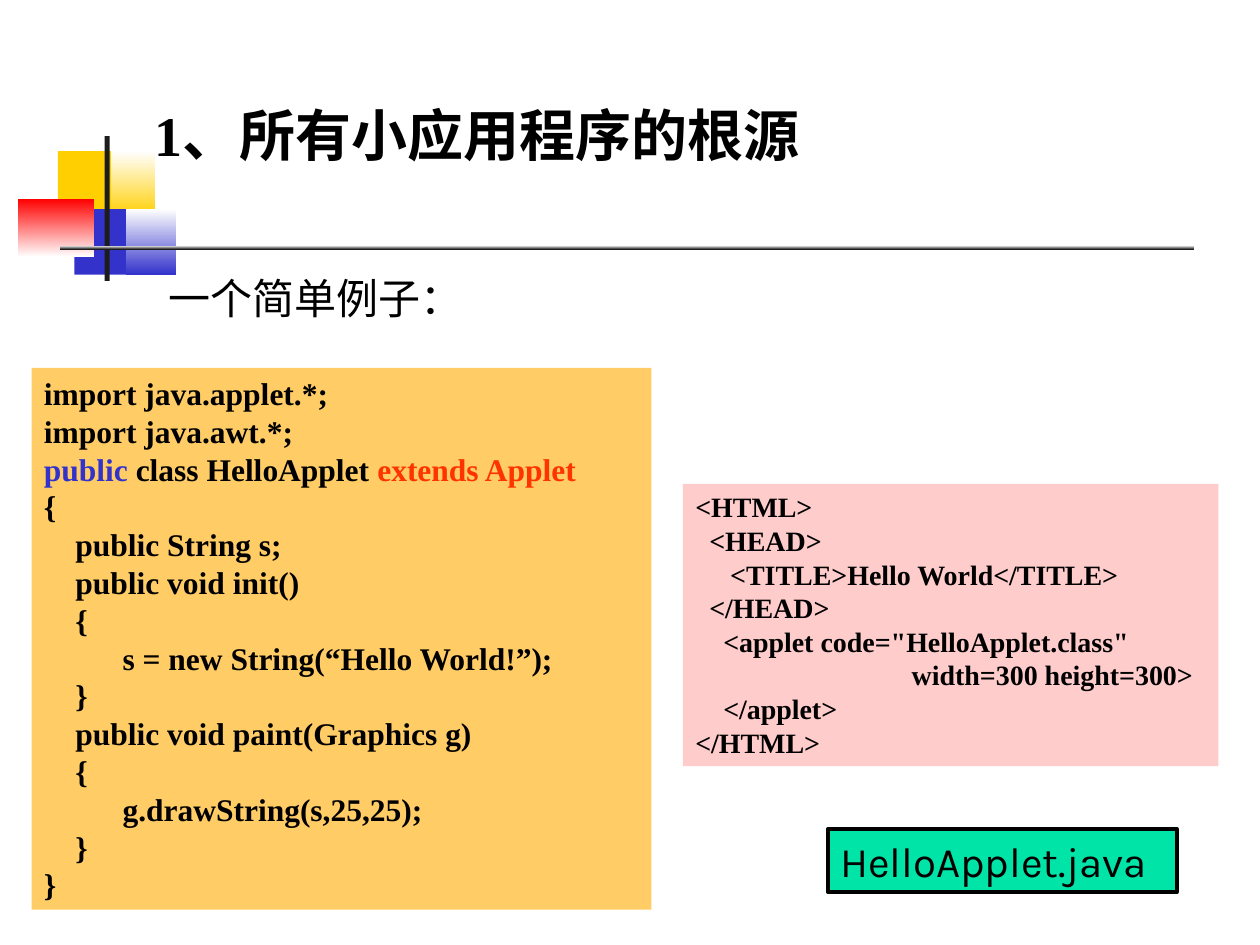
"""Build the slide on the root class of all applets, with its code examples."""
from dataclasses import dataclass

from pptx import Presentation
from pptx.dml.color import RGBColor
from pptx.enum.shapes import MSO_SHAPE as Preset
from pptx.enum.text import MSO_ANCHOR as Anchor, MSO_AUTO_SIZE as AutoSize, PP_ALIGN as Align
from pptx.util import Inches, Pt

COLUMNS, ROWS = 100, 75
WIDTH, HEIGHT = Inches(10), Inches(7.5)
TITLE_ONLY = 5
SERIF, SANS = "Times New Roman", "Karla"
COLORS = {
    "white": "FFFFFF", "black": "000000", "ink": "1C1C1C", "gold": "FFCF01",
    "blue": "3333CC", "red": "FF0000", "orange": "FF3300", "sand": "FFCC66",
    "pink": "FFCCCC", "mint": "00E4A8",
}


@dataclass(frozen=True)
class Area:
    column: float
    row: float
    columns: float
    rows: float

    def bounds(self) -> dict:
        return {
            "left": round(WIDTH * self.column / COLUMNS),
            "top": round(HEIGHT * self.row / ROWS),
            "width": round(WIDTH * self.columns / COLUMNS),
            "height": round(HEIGHT * self.rows / ROWS),
        }


@dataclass(frozen=True)
class Block:
    area: Area
    fills: tuple[str, ...]


@dataclass(frozen=True)
class Span:
    text: str
    color: str = "black"


@dataclass(frozen=True)
class Label:
    area: Area
    lines: tuple[tuple[Span, ...], ...]
    size: int
    font: str
    bold: bool = False
    wrap: bool = False
    fill: str | None = None
    line: float = 0


def plain(text: str) -> tuple[tuple[Span, ...], ...]:
    return tuple((Span(line),) for line in text.split("\n"))


DECORATION = (
    Block(Area(4.6, 12, 4.8, 5.2), ("gold",)),
    Block(Area(8.8, 12, 3.5, 5.2), ("white", "gold")),
    Block(Area(5.9, 16.6, 4.6, 5.2), ("blue",)),
    Block(Area(10, 16.6, 4, 5.2), ("white", "blue")),
    Block(Area(1.4, 15.8, 6.1, 4.6), ("red", "white")),
    Block(Area(8.3, 10.8, 0.4, 11.5), ("ink",)),
    Block(Area(4.8, 19.5, 90, 0.3), ("white", "ink")),
)

JAVA_HEAD = """import java.applet.*;
import java.awt.*;"""
JAVA_CLASS = (Span("public", "blue"), Span(" class HelloApplet "), Span("extends Applet", "orange"))
JAVA_BODY = """{
    public String s;
    public void init()
    {
          s = new String(“Hello World!”);
    }
    public void paint(Graphics g)
    {
          g.drawString(s,25,25);
    }
}"""
HTML = """<HTML>
  <HEAD>
     <TITLE>Hello World</TITLE>
  </HEAD>
    <applet code="HelloApplet.class"
                               width=300 height=300>
    </applet>
</HTML>"""

TITLE = Label(Area(11.3, 7.5, 58, 6.4), plain("1、所有小应用程序的根源"), 32, SERIF, bold=True, wrap=True)
LABELS = (
    Label(Area(12.4, 21.1, 25.3, 5), plain("一个简单例子："), 24, SANS),
    Label(Area(2.5, 29.2, 49.2, 43), (*plain(JAVA_HEAD), JAVA_CLASS, *plain(JAVA_BODY)),
          18, SERIF, bold=True, wrap=True, fill="sand"),
    Label(Area(54.2, 38.4, 42.5, 22.4), plain(HTML), 16, SERIF, bold=True, wrap=True, fill="pink"),
    Label(Area(65.7, 65.8, 27.7, 5), plain("HelloApplet.java"), 24, SANS, fill="mint", line=2.25),
)


def apply(target, values: dict) -> None:
    for name, value in values.items():
        setattr(target, name, value)


def rgb(name: str) -> RGBColor:
    return RGBColor.from_string(COLORS[name])


def add_rectangle(page, area: Area, fills: tuple[str, ...], line: float = 0):
    box = page.shapes.add_shape(Preset.RECTANGLE, **area.bounds())
    box.shadow.inherit = False
    if len(fills) == 1:
        box.fill.solid()
        box.fill.fore_color.rgb = rgb(fills[0])
    else:
        box.fill.gradient()
        box.fill.gradient_angle = 270
        for stop, name in zip(box.fill.gradient_stops, fills):
            stop.color.rgb = rgb(name)
    if line:
        box.line.color.rgb = rgb("black")
        box.line.width = Pt(line)
    else:
        box.line.fill.background()
    return box


def write(box, label: Label) -> None:
    frame = box.text_frame
    apply(frame, {
        "word_wrap": label.wrap, "auto_size": AutoSize.SHAPE_TO_FIT_TEXT,
        "vertical_anchor": Anchor.TOP,
        "margin_left": Inches(0.1), "margin_right": Inches(0.1),
        "margin_top": Inches(0.05), "margin_bottom": Inches(0.05),
    })
    font_values = {"name": label.font, "size": Pt(label.size), "bold": label.bold}
    for index, spans in enumerate(label.lines):
        para = frame.add_paragraph() if index else frame.paragraphs[0]
        para.alignment = Align.LEFT
        for span in spans:
            run = para.add_run()
            run.text = span.text
            apply(run.font, font_values)
            run.font.color.rgb = rgb(span.color)


def add_label(page, label: Label) -> None:
    if label.fill:
        box = add_rectangle(page, label.area, (label.fill,), label.line)
    else:
        box = page.shapes.add_textbox(**label.area.bounds())
    write(box, label)


def main() -> None:
    deck = Presentation()
    apply(deck, {"slide_width": WIDTH, "slide_height": HEIGHT})
    page = deck.slides.add_slide(deck.slide_layouts[TITLE_ONLY])
    apply(page.shapes.title, TITLE.area.bounds())
    write(page.shapes.title, TITLE)
    for block in DECORATION:
        add_rectangle(page, block.area, block.fills)
    for label in LABELS:
        add_label(page, label)
    deck.save("out.pptx")


if __name__ == "__main__":
    main()
